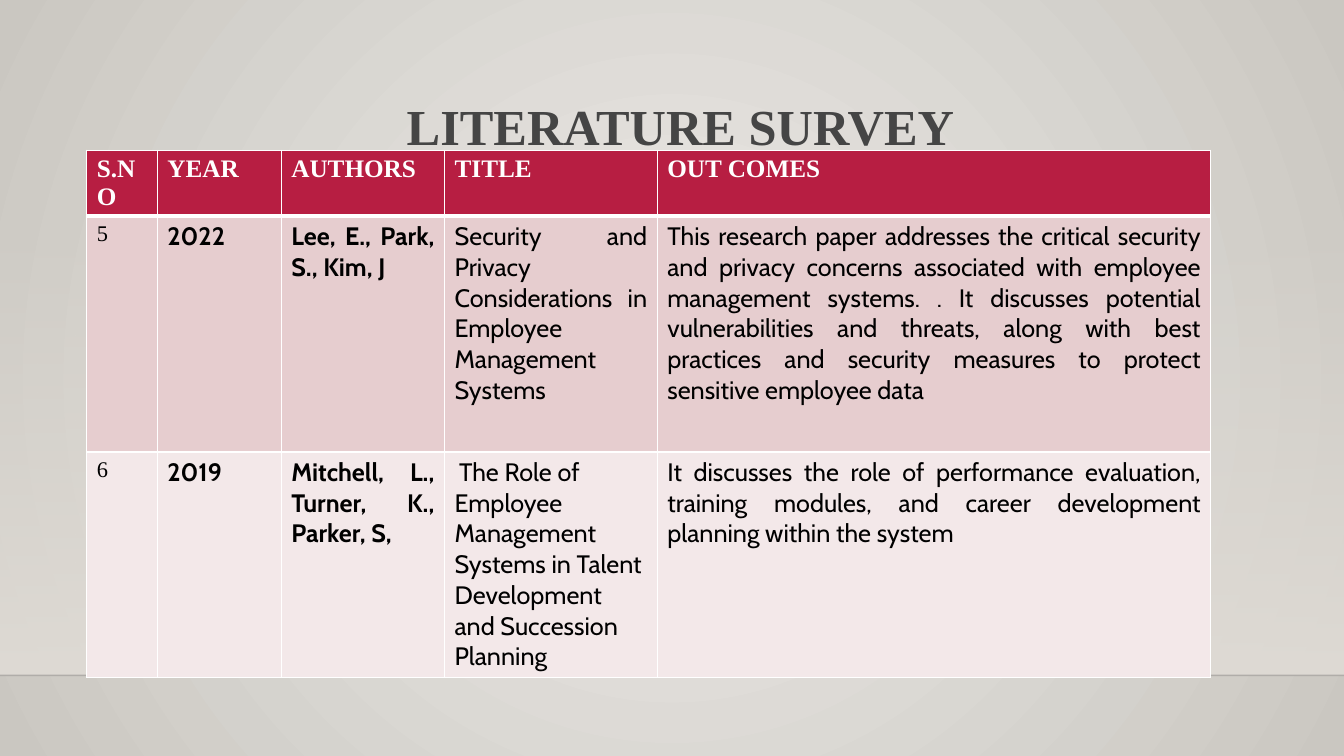
from lxml import etree
from pptx import Presentation
from pptx.dml.color import RGBColor
from pptx.enum import shapes, text
from pptx.oxml.ns import qn
from pptx.util import Inches, Pt

TITLE = "LITERATURE SURVEY"
HEADERS = ["S.NO", "YEAR", "AUTHORS", "TITLE", "OUT COMES"]
PAPERS = [
    ("5", "2022", "Lee, E., Park, S., Kim, J",
     "Security and Privacy Considerations in Employee Management Systems",
     "This research paper addresses the critical security and privacy concerns associated with "
     "employee management systems. . It discusses potential vulnerabilities and threats, along "
     "with best practices and security measures to protect sensitive employee data"),
    ("6", "2019", "Mitchell, L., Turner, K., Parker, S, ",
     " The Role of Employee Management Systems in Talent Development and Succession Planning",
     "It discusses the role of performance evaluation, training modules, and career development "
     "planning within the system"),
]
COLUMNS = [0.7, 1.23, 1.62, 2.11, 5.49]
ROWS = [0.61, 2.34, 2.02]
COLORS = {
    "light": "ECEAE7", "dark": "CAC7C1", "wall": "DFDBD5", "floor": "000001",
    "header": "B71E42", "odd": "E6CDCF", "even": "F3E8E9",
    "white": "FFFFFF", "black": "000000", "title": "454545",
}
SERIF, SANS = "Times New Roman", "Cabin"
HEADER_FORMAT = {"name": SERIF, "size": Pt(18), "bold": True}
NUMBER_FORMAT = {"name": SERIF, "size": Pt(16), "bold": False}
STRONG_FORMAT = {"name": SANS, "size": Pt(18), "bold": True}
BODY_FORMAT = {"name": SANS, "size": Pt(18), "bold": False}
PAPER_FORMATS = [NUMBER_FORMAT, STRONG_FORMAT, STRONG_FORMAT, BODY_FORMAT, BODY_FORMAT]


def rgb(name):
    return RGBColor.from_string(COLORS[name])


def set_gradient(fill, *names):
    fill.gradient()
    for stop, name in zip(fill.gradient_stops, names):
        stop.color.rgb = rgb(name)


def set_opacity(element, percent):
    """Make the first colour inside the element see-through."""
    color = next(element.iter(qn("a:srgbClr")))
    etree.SubElement(color, qn("a:alpha"), val=str(percent * 1000))


def add_span(para, words, color, formats):
    span = para.add_run()
    span.text = words
    span.font.color.rgb = rgb(color)
    for key, value in formats.items():
        setattr(span.font, key, value)


def add_borders(cell, widths):
    for side, points in widths.items():
        line = etree.SubElement(cell._tc.get_or_add_tcPr(), qn(f"a:ln{side}"), w=str(Pt(points)))
        solid = etree.SubElement(line, qn("a:solidFill"))
        etree.SubElement(solid, qn("a:srgbClr"), val=COLORS["white"])


def draw_backdrop(page):
    set_gradient(page.background.fill, "light", "dark")
    linear = next(page._element.iter(qn("a:lin")))
    circle = etree.Element(qn("a:path"), {"path": "circle"})
    etree.SubElement(circle, qn("a:fillToRect"), {side: "50000" for side in "ltrb"})
    linear.getparent().replace(linear, circle)

    wall = page.shapes.add_shape(shapes.MSO_SHAPE.RECTANGLE, 0, Inches(2.21),
                                 Inches(13.33), Inches(4.49))
    wall.shadow.inherit = False
    wall.line.fill.background()
    set_gradient(wall.fill, "wall", "wall")
    wall.fill.gradient_angle = 270
    set_opacity(wall._element.spPr, 0)

    floor = page.shapes.add_connector(shapes.MSO_CONNECTOR.STRAIGHT, 0, Inches(6.7),
                                      Inches(13.33), Inches(6.7))
    floor.line.color.rgb = rgb("floor")
    floor.line.width = Pt(1)
    set_opacity(floor._element.spPr, 20)
    etree.SubElement(floor._element.spPr, qn("a:effectLst"))


def draw_table(page):
    table = page.shapes.add_table(len(ROWS), len(COLUMNS), Inches(0.86), Inches(1.49),
                                  Inches(sum(COLUMNS)), Inches(sum(ROWS))).table
    for column, width in zip(table.columns, COLUMNS):
        column.width = Inches(width)
    for row, height in zip(table.rows, ROWS):
        row.height = Inches(height)

    for r, words_in_row in enumerate([HEADERS, *PAPERS]):
        for c, words in enumerate(words_in_row):
            cell = table.cell(r, c)
            add_borders(cell, {"L": 1, "R": 1, "T": 3 if r == 1 else 1, "B": 3 if r == 0 else 1})
            cell.fill.solid()
            cell.fill.fore_color.rgb = rgb(("header", "odd", "even")[r])
            para = cell.text_frame.paragraphs[0]
            if r == 0:
                add_span(para, words, "white", HEADER_FORMAT)
                continue
            if words.startswith(" "):
                add_span(para, " ", "black", {**BODY_FORMAT, "size": Pt(14)})
                words = words[1:]
            else:
                para.alignment = text.PP_ALIGN.JUSTIFY
            add_span(para, words, "black", PAPER_FORMATS[c])


def draw_title(page):
    box = page.shapes.add_textbox(Inches(1.55), Inches(0.47), Inches(9.4), Inches(1.02))
    box.text_frame.word_wrap = True
    para = box.text_frame.paragraphs[0]
    para.alignment = text.PP_ALIGN.CENTER
    para.line_spacing = 1.7
    para._p.get_or_add_pPr().set("marL", str(Inches(1)))
    add_span(para, TITLE, "title", {"name": SERIF, "size": Pt(36), "bold": True})


def main():
    deck = Presentation()
    deck.slide_width, deck.slide_height = Inches(13.33), Inches(7.5)
    page = deck.slides.add_slide(deck.slide_layouts[6])
    draw_backdrop(page)
    draw_table(page)
    draw_title(page)
    deck.save("out.pptx")


if __name__ == "__main__":
    main()
